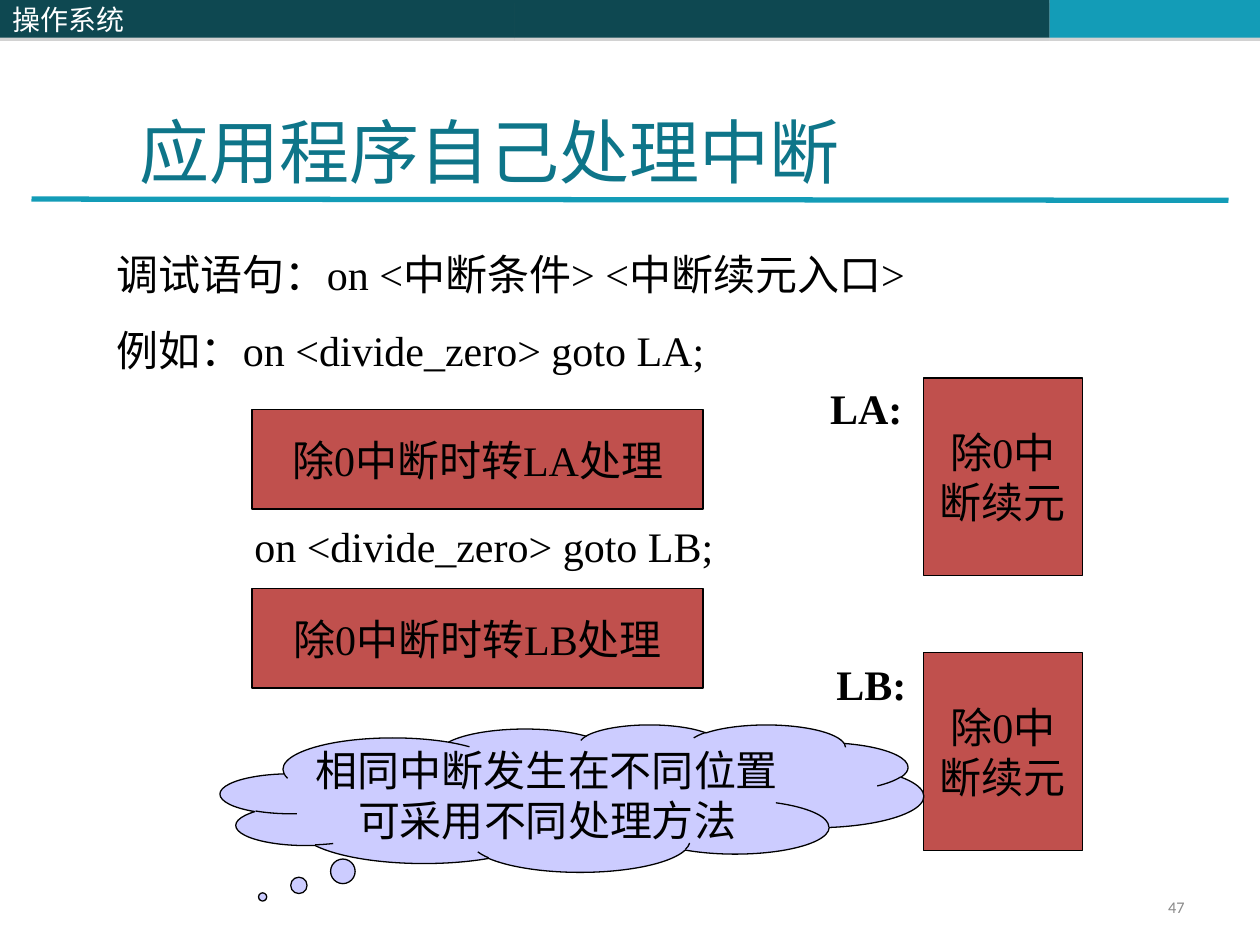
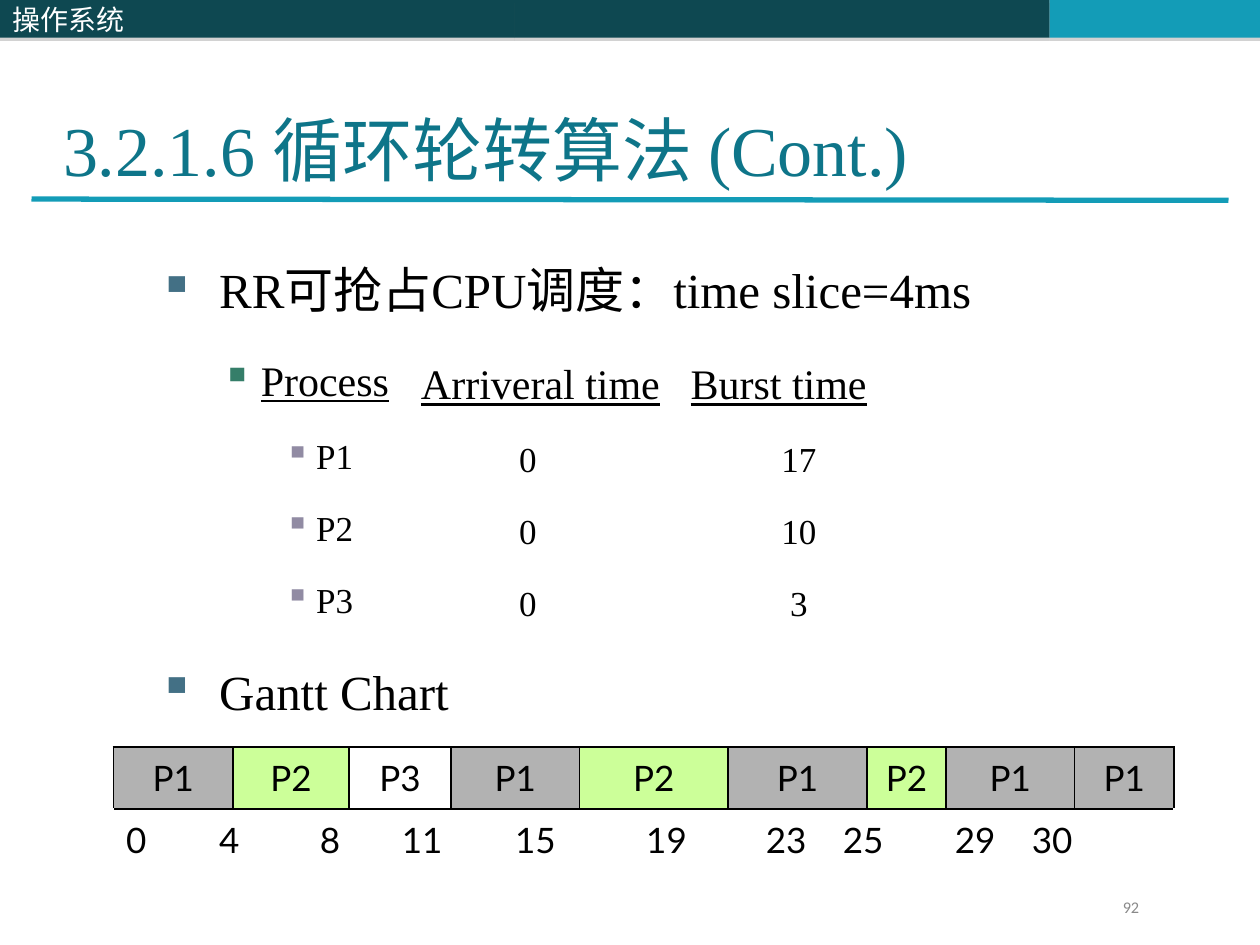
from lxml.etree import SubElement
from pptx import Presentation
from pptx.dml.color import RGBColor
from pptx.enum.shapes import MSO_CONNECTOR, MSO_SHAPE
from pptx.enum.text import MSO_ANCHOR as ANCHOR, MSO_AUTO_SIZE, PP_ALIGN as ALIGN
from pptx.oxml.ns import qn
from pptx.util import Inches, Pt

COLORS = {
    "band": "0E4851", "accent": "139CB7", "title": "0E7589", "shadow": "808080",
    "text": "000000", "white": "FFFFFF", "page": "898989",
    "box": "C0504D", "cloud": "CCCCFF", "P1": "B2B2B2", "P2": "CCFF99",
}
SERIF = "Times New Roman"
COURSE = "操作系统"

# Slide 1: (text lines, left, top, width, height)
STATEMENTS = [
    (["调试语句：on <中断条件> <中断续元入口>", "例如：on <divide_zero> goto LA;"],
     0.83, 1.92, 8.42, 1.11),
    (["on <divide_zero> goto LB;"], 1.92, 4.08, 7.33, 0.5),
]
HANDLER_BOXES = [
    (["除0中断时转LA处理"], 2, 3.25, 3.58, 0.79),
    (["除0中断时转LB处理"], 2, 4.67, 3.58, 0.79),
    (["除0中", "断续元"], 7.33, 3, 1.26, 1.57),
    (["除0中", "断续元"], 7.33, 5.18, 1.26, 1.57),
]
ENTRY_LABELS = [("LA:", 6.58, 3), ("LB:", 6.62, 5.19)]
REMARK = ["相同中断发生在不同位置", "可采用不同处理方法"]

# Slide 2: (text, level)
OUTLINE = [
    ("RR可抢占CPU调度：time slice=4ms", 0), ("Process", 1),
    ("P1", 2), ("P2", 2), ("P3", 2), ("Gantt Chart", 0),
]
# Per level: size, left margin, hanging indent, space before, bullet colour
LEVELS = [
    (28, 0.48, 0.48, 7, "437085"),
    (24, 0.81, 0.31, 6, "357E69"),
    (20, 1.25, 0.25, 5, "918BA3"),
]
# Column heading, its centre, centre of the values, values
PROCESS_COLUMNS = [
    ("Arriveral time", 4.29, 4.19, ["0", "0", "0"]),
    ("Burst time", 6.18, 6.34, ["17", "10", "3"]),
]
HEADING_MIDDLE, FIRST_VALUE_MIDDLE, VALUE_STEP = 3.04, 3.64, 0.57
GANTT = [("P1", 0.95), ("P2", 0.92), ("P3", 0.81), ("P1", 1.02), ("P2", 1.18),
         ("P1", 1.1), ("P2", 0.63), ("P1", 1.02), ("P1", 0.79)]
# Time mark and the centre of its tab stop
TIMES = [("0", None), ("4", 0.82), ("8", 1.62), ("11", 2.35), ("15", 3.25),
         ("19", 4.29), ("23", 5.24), ("25", 5.85), ("29", 6.74), ("30", 7.35)]


def rgb(name):
    return RGBColor.from_string(COLORS[name])


def place(shape, *box):
    shape.left, shape.top, shape.width, shape.height = map(Inches, box)


def set_font(paragraph, size, color="text", name=SERIF, bold=False):
    font = paragraph.font
    font.size, font.name, font.bold = Pt(size), name, bold
    font.color.rgb = rgb(color)


def write(shape, lines, size=24, color="text", name=SERIF, bold=False, align=ALIGN.CENTER,
          anchor=ANCHOR.MIDDLE, wrap=False, space=0):
    """Fill a shape with evenly formatted paragraphs and return them."""
    frame = shape.text_frame
    frame.text = "\n".join(lines)
    frame.word_wrap, frame.vertical_anchor = wrap, anchor
    frame.auto_size = MSO_AUTO_SIZE.NONE
    for index, paragraph in enumerate(frame.paragraphs):
        paragraph.alignment = align
        paragraph.space_before = Pt(space if index else 0)
        set_font(paragraph, size, color, name, bold)
    return frame.paragraphs


def add_text(slide, lines, *box, **style):
    return write(slide.shapes.add_textbox(*map(Inches, box)), lines, **style)


def add_block(slide, kind, fill, box, line=None):
    block = slide.shapes.add_shape(kind, *map(Inches, box))
    block.shadow.inherit = False
    block.fill.solid()
    block.fill.fore_color.rgb = rgb(fill)
    if line:
        block.line.color.rgb = rgb(line)
        block.line.width = Pt(0.75)
    else:
        block.line.fill.background()
    return block


def add_band(slide, left, width, fill):
    band = add_block(slide, MSO_SHAPE.RECTANGLE, fill, (left, 0, width, 0.3))
    effects = band._element.spPr.find(qn("a:effectLst"))
    shadow = SubElement(effects, qn("a:outerShdw"), blurRad="0", dist=str(Pt(1.8)),
                        dir="5400000", rotWithShape="0")
    tone = SubElement(shadow, qn("a:srgbClr"), val=COLORS["shadow"])
    SubElement(tone, qn("a:alpha"), val="35000")
    return band


def new_slide(deck, title, title_box, page, page_left):
    """Add a slide with the shared bands, rule, title and page number."""
    slide = deck.slides.add_slide(deck.slide_layouts[5])
    add_band(slide, 4.08, 4.25, "band")
    add_band(slide, 8.33, 1.67, "accent")
    rule = slide.shapes.add_connector(
        MSO_CONNECTOR.STRAIGHT, *map(Inches, (0.25, 1.58, 9.75, 1.59)))
    rule.line.color.rgb = rgb("accent")
    rule.line.width = Pt(3)
    SubElement(rule._element.spPr, qn("a:effectLst"))
    write(add_band(slide, 0, 4.08, "band"), [COURSE], 16, "white", "Noto Sans CJK SC",
          align=ALIGN.LEFT, wrap=True)
    place(slide.shapes.title, *title_box)
    write(slide.shapes.title, [title], 40, "title", align=ALIGN.LEFT,
          anchor=ANCHOR.BOTTOM, wrap=True)
    add_text(slide, [page], page_left, 7.08, 2.33, 0.27, size=9.3, color="page",
             name="Calibri", align=ALIGN.RIGHT, wrap=True)[0].line_spacing = 0.8
    return slide


def clear_insets(frame):
    frame.margin_left = frame.margin_right = frame.margin_top = frame.margin_bottom = 0


def build_interrupts(deck):
    slide = new_slide(deck, "应用程序自己处理中断", (1.01, 0.33, 8.5, 1.25), "47", 7.17)
    for lines, *box in STATEMENTS:
        add_text(slide, lines, *box, align=ALIGN.LEFT, anchor=ANCHOR.TOP, wrap=True, space=15)
    for lines, *box in HANDLER_BOXES:
        write(add_block(slide, MSO_SHAPE.RECTANGLE, "box", box, "text"), lines)
    for label, left, top in ENTRY_LABELS:
        tag = add_block(slide, MSO_SHAPE.RECTANGLE, "white", (left, top, 0.59, 0.47))
        write(tag, [label], bold=True)
    cloud = add_block(slide, MSO_SHAPE.CLOUD_CALLOUT, "cloud", (1.75, 5.75, 5.58, 1.17), "text")
    cloud.adjustments[0], cloud.adjustments[1] = -0.44, 0.67
    write(cloud, REMARK)


def add_outline(slide):
    outline = slide.shapes.add_textbox(*map(Inches, (1.26, 1.83, 7.72, 3.89)))
    frame = outline.text_frame
    frame.text = "\n".join(text for text, _ in OUTLINE)
    frame.word_wrap = True
    clear_insets(frame)
    for index, (paragraph, (_, level)) in enumerate(zip(frame.paragraphs, OUTLINE)):
        size, margin, hanging, space, bullet = LEVELS[level]
        paragraph.level = level
        paragraph.line_spacing = 1.5
        paragraph.space_before = Pt(space if index else 0)
        props = paragraph._p.get_or_add_pPr()
        props.set("marL", str(Inches(margin)))
        props.set("indent", str(-Inches(hanging)))
        SubElement(SubElement(props, qn("a:buClr")), qn("a:srgbClr"), val=bullet)
        SubElement(props, qn("a:buChar"), char="▪")
        set_font(paragraph, size)
        paragraph.font.underline = level == 1


def add_process_columns(slide):
    def centred(text, center, middle, size):
        return add_text(slide, [text], center - 1, middle - 0.25, 2, 0.5, size=size)[0]

    for heading, heading_center, center, values in PROCESS_COLUMNS:
        centred(heading, heading_center, HEADING_MIDDLE, 24).font.underline = True
        for row, value in enumerate(values):
            centred(value, center, FIRST_VALUE_MIDDLE + row * VALUE_STEP, 20)


def add_borders(cell):
    props = cell._tc.get_or_add_tcPr()
    for index, side in enumerate(("lnL", "lnR", "lnT", "lnB")):
        border = props.makeelement(qn(f"a:{side}"), {"w": str(Pt(1.08))})
        SubElement(SubElement(border, qn("a:solidFill")), qn("a:srgbClr"), val=COLORS["text"])
        props.insert(index, border)


def add_gantt(slide):
    width = sum(span for _, span in GANTT)
    table = slide.shapes.add_table(
        2, len(GANTT), *map(Inches, (0.9, 5.93, width, 0.98))).table
    table.first_row = table.horz_banding = False
    for column, (process, span) in enumerate(GANTT):
        table.columns[column].width = Inches(span)
        cell = table.cell(0, column)
        cell.text = process
        cell.vertical_anchor = ANCHOR.MIDDLE
        if process in COLORS:
            cell.fill.solid()
            cell.fill.fore_color.rgb = rgb(process)
        else:
            cell.fill.background()
        paragraph = cell.text_frame.paragraphs[0]
        paragraph.alignment = ALIGN.CENTER
        set_font(paragraph, 20, name="Lato")
        add_borders(cell)
        table.cell(1, column).fill.background()
    axis = table.cell(1, 0)
    axis.merge(table.cell(1, len(GANTT) - 1))
    axis.text = "\t".join(time for time, _ in TIMES)
    axis.vertical_anchor = ANCHOR.MIDDLE
    paragraph = axis.text_frame.paragraphs[0]
    tabs = SubElement(paragraph._p.get_or_add_pPr(), qn("a:tabLst"))
    for _, stop in TIMES[1:]:
        SubElement(tabs, qn("a:tab"), pos=str(Inches(stop)), algn="ctr")
    set_font(paragraph, 20, name="Lato")


def build_round_robin(deck):
    slide = new_slide(deck, "3.2.1.6 循环轮转算法 (Cont.)", (0.5, 0.84, 7.68, 0.67), "92", 6.81)
    clear_insets(slide.shapes.title.text_frame)
    add_outline(slide)
    add_process_columns(slide)
    add_gantt(slide)


def main():
    deck = Presentation()
    deck.slide_width, deck.slide_height = Inches(10), Inches(7.5)
    build_interrupts(deck)
    build_round_robin(deck)
    deck.save("out.pptx")


if __name__ == "__main__":
    main()
